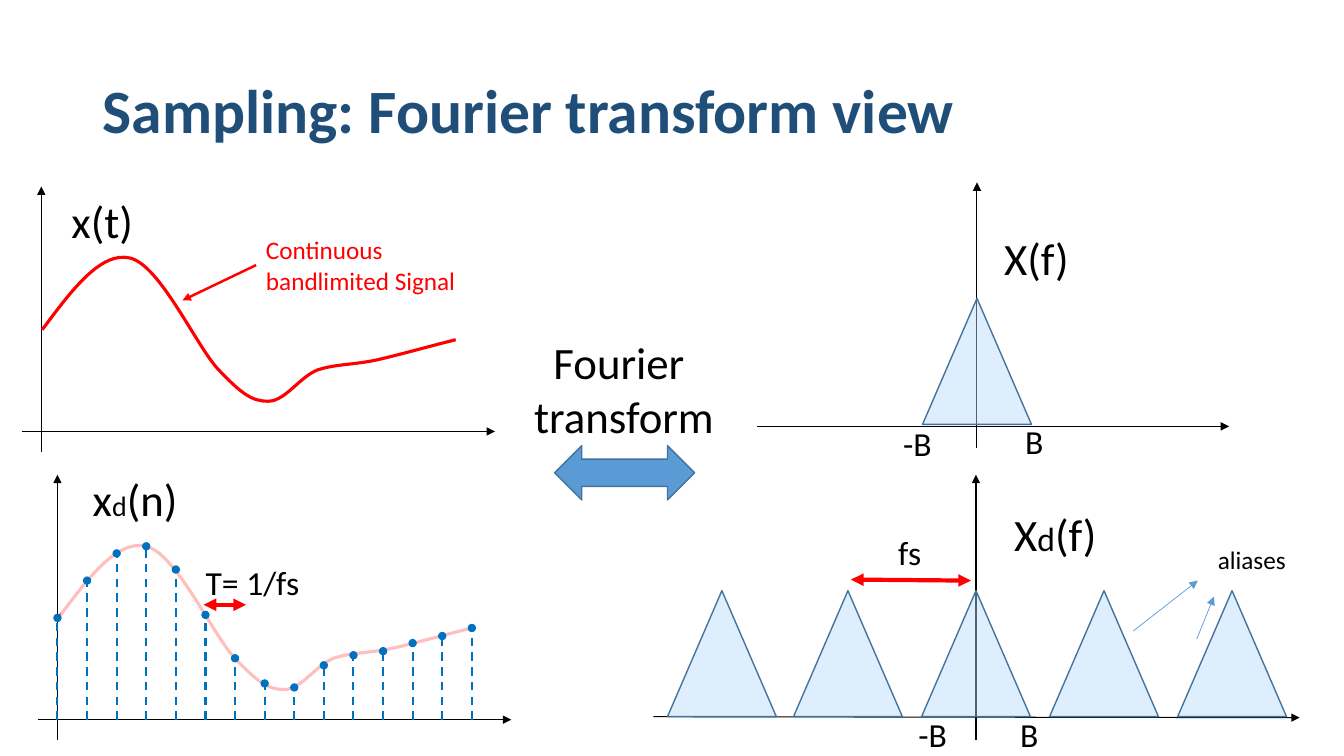
import pptx
import pptx.util
import pptx.dml.color
import pptx.enum.dml
import pptx.enum.shapes
import pptx.enum.text
import pptx.oxml
import pptx.oxml.ns
from pptx.util import Inches, Pt

COLORS = {
    "title": "1F4E79", "black": "000000", "white": "FFFFFF", "red": "FF0000",
    "stem": "0070C0", "blue": "5B9BD5", "outline": "43739E", "spectrum": "B9DAFB",
}
RGB = {name: pptx.dml.color.RGBColor.from_string(value) for name, value in COLORS.items()}
MSO_SHAPE = pptx.enum.shapes.MSO_SHAPE
NAMESPACE = pptx.oxml.ns.nsdecls("a")


def add_text(box, lines, size=24, color="black", wrap=True, align="LEFT"):
    """Add a text box; each line is a list of (text, size) runs or a plain string."""
    shape = slide.shapes.add_textbox(*map(Inches, box))
    frame = shape.text_frame
    frame.word_wrap = wrap
    for index, line in enumerate(lines):
        paragraph = frame.add_paragraph() if index else frame.paragraphs[0]
        paragraph.alignment = getattr(pptx.enum.text.PP_ALIGN, align)
        paragraph.font.name = "Calibri"
        paragraph.font.size = Pt(size)
        paragraph.font.color.rgb = RGB[color]
        for text, run_size in ([(line, size)] if isinstance(line, str) else line):
            run = paragraph.add_run()
            run.text = text
            if run_size != size:
                run.font.size = Pt(run_size)
    return frame


def add_line(start, end, color="black", width=0.75, head=None, tail="triangle", dash=False):
    """Add a straight connector with optional end marks."""
    connector = slide.shapes.add_connector(
        pptx.enum.shapes.MSO_CONNECTOR.STRAIGHT, *map(Inches, (*start, *end)))
    connector.line.color.rgb = RGB[color]
    connector.line.width = Pt(width)
    if dash:
        connector.line.dash_style = pptx.enum.dml.MSO_LINE.DASH
    properties = connector._element.spPr
    outline = properties.find(pptx.oxml.ns.qn("a:ln"))
    for tag, mark in (("headEnd", head), ("tailEnd", tail)):
        if mark:
            end_mark = pptx.oxml.parse_xml(f"<a:{tag} {NAMESPACE}/>")
            end_mark.set("type", mark)
            outline.append(end_mark)
    properties.append(pptx.oxml.parse_xml(f"<a:effectLst {NAMESPACE}/>"))


presentation = pptx.Presentation()
presentation.slide_width = Inches(13.33)
presentation.slide_height = Inches(7.5)
slide = presentation.slides.add_slide(presentation.slide_layouts[6])

title = add_text((0.92, 0.4, 11.5, 1.45), ["Sampling: Fourier transform view"], 44, "title")
title.vertical_anchor = pptx.enum.text.MSO_ANCHOR.MIDDLE
title.paragraphs[0].font.bold = True
title.paragraphs[0].line_spacing = 0.9

# Axes of the four plots
for start, end in [
    ((0.41, 4.48), (0.41, 1.85)), ((0.22, 4.28), (4.91, 4.28)),
    ((9.69, 4.44), (9.69, 1.81)), ((7.51, 4.23), (12.19, 4.23)),
    ((0.57, 7.34), (0.57, 4.71)), ((0.38, 7.14), (5.07, 7.14)),
    ((9.68, 7.34), (9.68, 4.71)), ((6.48, 7.11), (12.89, 7.12)),
]:
    add_line(start, end)

# Signal curve: a start point, then two handles and a knot per Bezier segment
signal = [
    (0.42, 3.27), (0.71, 2.88), (1, 2.49), (1.29, 2.56), (1.59, 2.63), (1.95, 3.44),
    (2.17, 3.67), (2.4, 3.91), (2.5, 3.98), (2.66, 3.98), (2.83, 3.98), (2.97, 3.74),
    (3.15, 3.67), (3.33, 3.61), (3.51, 3.62), (3.74, 3.57), (3.96, 3.52), (4.24, 3.44),
    (4.52, 3.37),
]
for shift_x, shift_y in [(0, 0), (0.16, 2.86)]:
    points = [(Inches(x + shift_x), Inches(y + shift_y)) for x, y in signal]
    builder = slide.shapes.build_freeform(*points[0])
    builder.add_line_segments(points[1:], close=False)
    curve = builder.convert_to_shape()
    curve.shadow.inherit = False
    curve.fill.background()
    curve.line.color.rgb = RGB["red"]
    curve.line.width = Pt(2.25)
    outline = curve._element.spPr.find(".//" + pptx.oxml.ns.qn("a:path"))
    straight = outline.findall(pptx.oxml.ns.qn("a:lnTo"))
    for first in range(0, len(straight), 3):
        bezier = pptx.oxml.parse_xml(f"<a:cubicBezTo {NAMESPACE}/>")
        for segment in straight[first:first + 3]:
            bezier.append(segment[0])
            outline.remove(segment)
        outline.append(bezier)

# Veil over the sampled curve, spectra and the double arrow: kind, box, fill, opacity, outlined
TRIANGLE = MSO_SHAPE.ISOSCELES_TRIANGLE
spectra = [(9.15, 2.96)] + [(left, 5.86) for left in (6.62, 7.87, 9.14, 10.41, 11.68)]
shapes = [(MSO_SHAPE.RECTANGLE, (0.6, 5.33, 4.28, 1.8), "white", 75, False)]
shapes += [(TRIANGLE, (left, top, 1.08, 1.25), "spectrum", 45, True) for left, top in spectra]
shapes += [(MSO_SHAPE.LEFT_RIGHT_ARROW, (5.5, 4.42, 1.39, 0.54), "blue", 100, True)]
for kind, box, color, opacity, outlined in shapes:
    shape = slide.shapes.add_shape(kind, *map(Inches, box))
    shape.shadow.inherit = False
    shape.fill.solid()
    shape.fill.fore_color.rgb = RGB[color]
    if opacity < 100:
        fill_color = shape._element.spPr.find(".//" + pptx.oxml.ns.qn("a:srgbClr"))
        alpha = pptx.oxml.parse_xml(f"<a:alpha {NAMESPACE}/>")
        alpha.set("val", str(opacity * 1000))
        fill_color.append(alpha)
    if outlined:
        shape.line.color.rgb = RGB["outline"]
        shape.line.width = Pt(1)
    else:
        shape.line.fill.background()

# Samples, evenly spaced in time
sample_tops = [6.13, 5.76, 5.49, 5.42, 5.65, 6.1, 6.53, 6.78, 6.82, 6.6, 6.5, 6.46, 6.38,
               6.31, 6.23]
sample_gap = (4.68 - 0.57) / (len(sample_tops) - 1)
for index, top in enumerate(sample_tops):
    x = 0.57 + index * sample_gap
    add_line((x, 7.14), (x, top), "stem", 1.5, tail="oval", dash=True)

# Pointers and interval arrows
add_line((2.54, 2.63), (1.81, 2.98), "red", 1.75)
add_line((2.02, 6), (2.44, 6), "red", 3, head="triangle")
add_line((8.44, 5.75), (9.63, 5.76), "red", 3, head="triangle")
add_line((11.24, 6.26), (11.88, 5.76), "blue", 0.5)
add_line((11.87, 6.34), (12.04, 5.92), "blue", 0.5)

# Labels
add_text((2.54, 2.28, 2.44, 0.71), ["Continuous bandlimited Signal"], 18, "red")
add_text((0.61, 1.87, 0.82, 0.64), ["x(t)"], 32, wrap=False)
add_text((9.86, 2.24, 0.85, 0.64), ["X(f)"], 32, wrap=False)
add_text((9.96, 4.98, 1.06, 0.64), [[("X", 32), ("d", 24), ("(f)", 32)]], 32, wrap=False)
add_text((0.82, 4.63, 1.11, 0.64), [[("x", 32), ("d", 20), ("(n)", 32)]], 32)
add_text((5.19, 3.27, 2, 1.18), ["Fourier ", "transform"], 32, wrap=False, align="CENTER")
add_text((11.98, 5.35, 0.88, 0.4), ["aliases"], 18, wrap=False)
for text, left, top, width in [
    ("B", 10.07, 4.13, 0.42), ("-B", 8.86, 4.15, 0.57), ("fs", 8.81, 5.23, 0.62),
    ("T= 1/fs", 1.94, 5.53, 1.18), ("B", 10.02, 7.03, 0.42), ("-B", 9.01, 7.03, 0.57),
]:
    add_text((left, top, width, 0.5), [text])

presentation.save("out.pptx")
